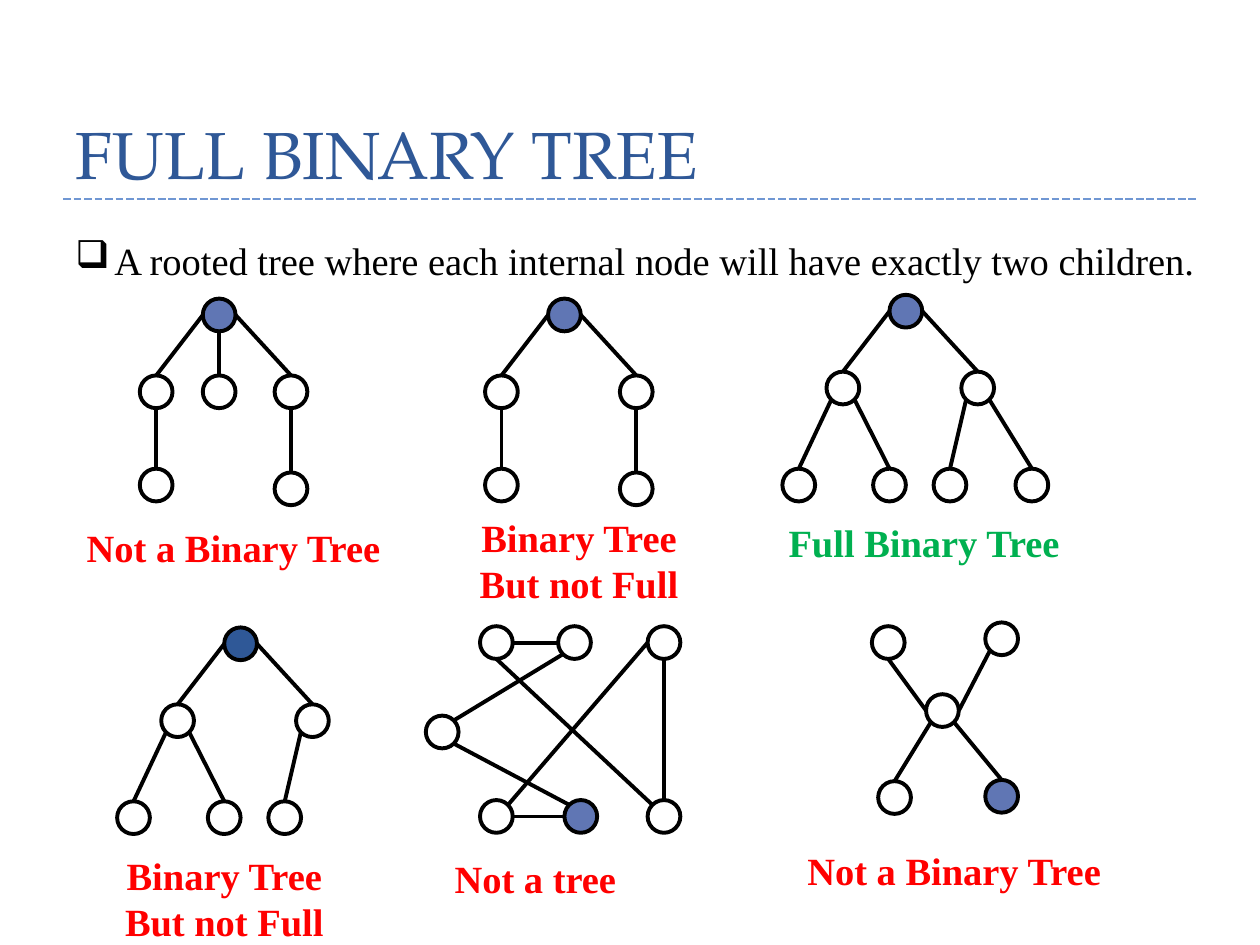
from lxml import etree
from pptx import Presentation
from pptx.dml.color import RGBColor
from pptx.enum.dml import MSO_LINE
from pptx.enum.shapes import MSO_CONNECTOR, MSO_SHAPE
from pptx.enum.text import MSO_ANCHOR, PP_ALIGN
from pptx.oxml.ns import qn
from pptx.util import Inches, Pt

STRAIGHT = MSO_CONNECTOR.STRAIGHT
OVAL = MSO_SHAPE.OVAL
DASHED = MSO_LINE.SQUARE_DOT
BOTTOM = MSO_ANCHOR.BOTTOM
LEFT, CENTER, JUSTIFY = PP_ALIGN.LEFT, PP_ALIGN.CENTER, PP_ALIGN.JUSTIFY

BLACK, RED, GREEN = "000000", "FF0000", "00B050"
NAVY, VIOLET, SKY = "2F5897", "6076B4", "7097D3"

NODE = 0.26
DIAGONAL = 0.71
SITES = {
    "N": (0, -1), "S": (0, 1), "W": (-1, 0), "E": (1, 0),
    "NW": (-DIAGONAL, -DIAGONAL), "NE": (DIAGONAL, -DIAGONAL),
    "SW": (-DIAGONAL, DIAGONAL), "SE": (DIAGONAL, DIAGONAL),
}

BRANCHES = {"root": (0, 0), "left": (-0.5, 0.61), "right": (0.57, 0.61)}
BRANCH_EDGES = ["root.W left.N", "root.E right.N"]
STEMS = BRANCHES | {"leaf1": (-0.5, 1.35), "leaf2": (0.57, 1.38)}
STEM_EDGES = BRANCH_EDGES + ["left.S leaf1.N", "right.S leaf2.N"]
THREE_LEAVES = BRANCHES | {
    "leaf1": (-0.85, 1.38), "leaf2": (-0.13, 1.38), "leaf3": (0.35, 1.38)}
THREE_LEAF_EDGES = BRANCH_EDGES + [
    "left.SW leaf1.N", "left.SE leaf2.N", "right.SW leaf3.N"]

CROSS = {"hub": (0, 0), "nw": (-0.43, -0.54), "ne": (0.47, -0.57),
         "sw": (-0.38, 0.69), "root": (0.47, 0.68)}
CROSS_EDGES = ["hub.W nw.S", "hub.E ne.SW", "hub.SW sw.N", "hub.SE root.N"]

CYCLE = {"top1": (0, 0), "top2": (0.62, 0), "top3": (1.33, 0),
         "side": (-0.43, 0.71),
         "low1": (0, 1.38), "root": (0.67, 1.38), "low3": (1.33, 1.38)}
CYCLE_EDGES = ["top1.S low3.NW", "top3.W low1.NE", "top3.S low3.N",
               "side.SE root.NW", "side.NE top2.SW",
               "root.W low1.E", "top2.W top1.E"]

GRAPHS = [
    ((1.61, 2.37), STEMS | {"middle": (0, 0.61)},
     STEM_EDGES + ["root.S middle.N"], VIOLET),
    ((4.35, 2.37), STEMS, STEM_EDGES, VIOLET),
    ((7.06, 2.34), THREE_LEAVES | {"leaf4": (1, 1.38)},
     THREE_LEAF_EDGES + ["right.SE leaf4.N"], VIOLET),
    ((1.78, 4.98), THREE_LEAVES, THREE_LEAF_EDGES, NAVY),
    ((7.35, 5.51), CROSS, CROSS_EDGES, VIOLET),
    ((3.81, 4.97), CYCLE, CYCLE_EDGES, VIOLET),
]

CAPTIONS = [
    ("Not a Binary Tree", (0.59, 4.11, 2.56, 0.47), RED, LEFT, False),
    ("Binary Tree But not Full", (3.6, 4.03, 1.99, 0.84), RED, CENTER, True),
    ("Full Binary Tree", (6.16, 4.07, 2.38, 0.47), GREEN, LEFT, False),
    ("Binary Tree But not Full", (0.89, 6.71, 1.78, 0.84), RED, CENTER, True),
    ("Not a tree", (3.51, 6.74, 1.5, 0.47), RED, LEFT, False),
    ("Not a Binary Tree", (6.31, 6.67, 2.56, 0.47), RED, LEFT, False),
]


def rgb(code):
    return RGBColor.from_string(code)


def apply(target, values):
    for name, value in values.items():
        setattr(target, name, value)


class TreeSlide:
    body = {"name": "Times New Roman", "size": Pt(22)}
    heading = {"name": "TeX Gyre Pagella", "size": Pt(38)}

    def __init__(self, slide):
        self.slide = slide

    def text(self, words, box, color, font, paragraph_format, frame_format):
        frame = self.slide.shapes.add_textbox(*map(Inches, box)).text_frame
        apply(frame, {"word_wrap": True} | frame_format)
        paragraph = frame.paragraphs[0]
        apply(paragraph, paragraph_format)
        run = paragraph.add_run()
        run.text = words
        apply(run.font, font)
        run.font.color.rgb = rgb(color)
        return paragraph

    def title(self, words, box):
        self.text(words, box, NAVY, self.heading,
                  {"line_spacing": Pt(58)}, {"vertical_anchor": BOTTOM})

    def bullet(self, words, box, mark, indent):
        paragraph = self.text(words, box, BLACK, self.body,
                              {"alignment": JUSTIFY}, {})
        properties = paragraph._p.get_or_add_pPr()
        properties.set("marL", str(Inches(indent)))
        properties.set("indent", str(-Inches(indent)))
        etree.SubElement(properties, qn("a:buChar")).set("char", mark)

    def caption(self, words, box, color, alignment, wrap):
        self.text(words, box, color, self.body | {"bold": True},
                  {"alignment": alignment}, {"word_wrap": wrap})

    def line(self, shapes, start, end, color=BLACK, line_format=None):
        connector = shapes.add_connector(
            STRAIGHT, *map(Inches, (*start, *end)))
        connector.line.color.rgb = rgb(color)
        apply(connector.line, line_format or {"width": Pt(2.25)})
        etree.SubElement(connector._element.spPr, qn("a:effectLst"))

    def node(self, shapes, x, y, fill):
        circle = shapes.add_shape(OVAL, *map(Inches, (x, y, NODE, NODE)))
        circle.shadow.inherit = False
        if fill:
            circle.fill.solid()
            circle.fill.fore_color.rgb = rgb(fill)
        else:
            circle.fill.background()
        circle.line.color.rgb = rgb(BLACK)
        circle.line.width = Pt(2.25)

    def graph(self, origin, nodes, edges, root_fill):
        shapes = self.slide.shapes.add_group_shape().shapes
        places = {name: (origin[0] + dx, origin[1] + dy)
                  for name, (dx, dy) in nodes.items()}

        def anchor(end):
            name, site = end.split(".")
            return [corner + NODE / 2 * (1 + shift)
                    for corner, shift in zip(places[name], SITES[site])]

        for name, (x, y) in places.items():
            self.node(shapes, x, y, root_fill if name == "root" else None)
        for edge in edges:
            self.line(shapes, *map(anchor, edge.split()))


def main():
    deck = Presentation()
    deck.slide_width, deck.slide_height = Inches(10), Inches(7.5)
    page = TreeSlide(deck.slides.add_slide(deck.slide_layouts[6]))
    page.line(page.slide.shapes, (0.5, 1.58), (9.5, 1.58), SKY,
              {"width": Pt(1.5), "dash_style": DASHED})
    page.title("FULL BINARY TREE", (0.5, -0.17, 9, 1.75))
    page.bullet(
        "A rooted tree where each internal node will have exactly two children.",
        (0.5, 1.83, 9.25, 0.47), "❑", 0.31)
    for graph in GRAPHS:
        page.graph(*graph)
    for caption in CAPTIONS:
        page.caption(*caption)
    deck.save("out.pptx")


if __name__ == "__main__":
    main()
